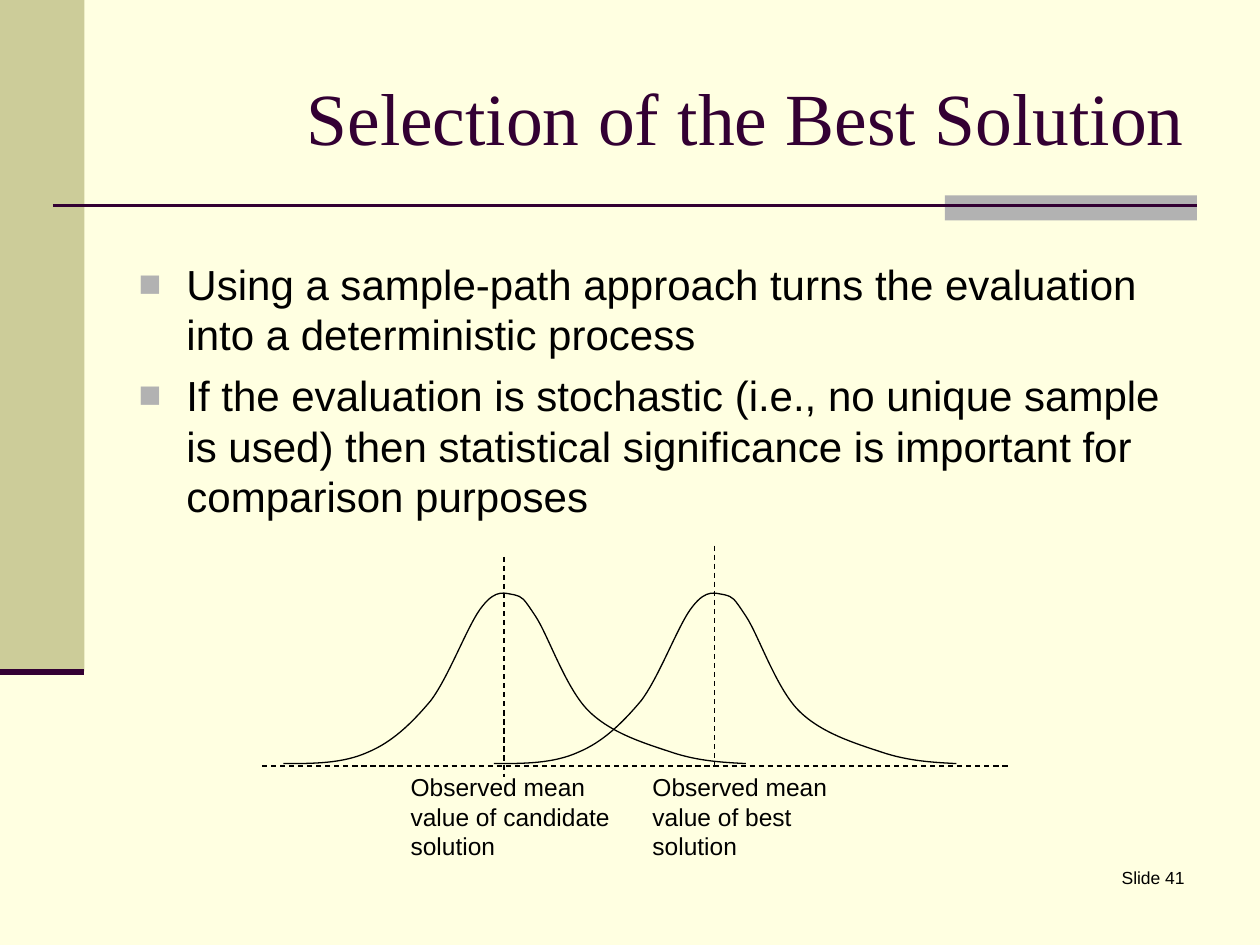
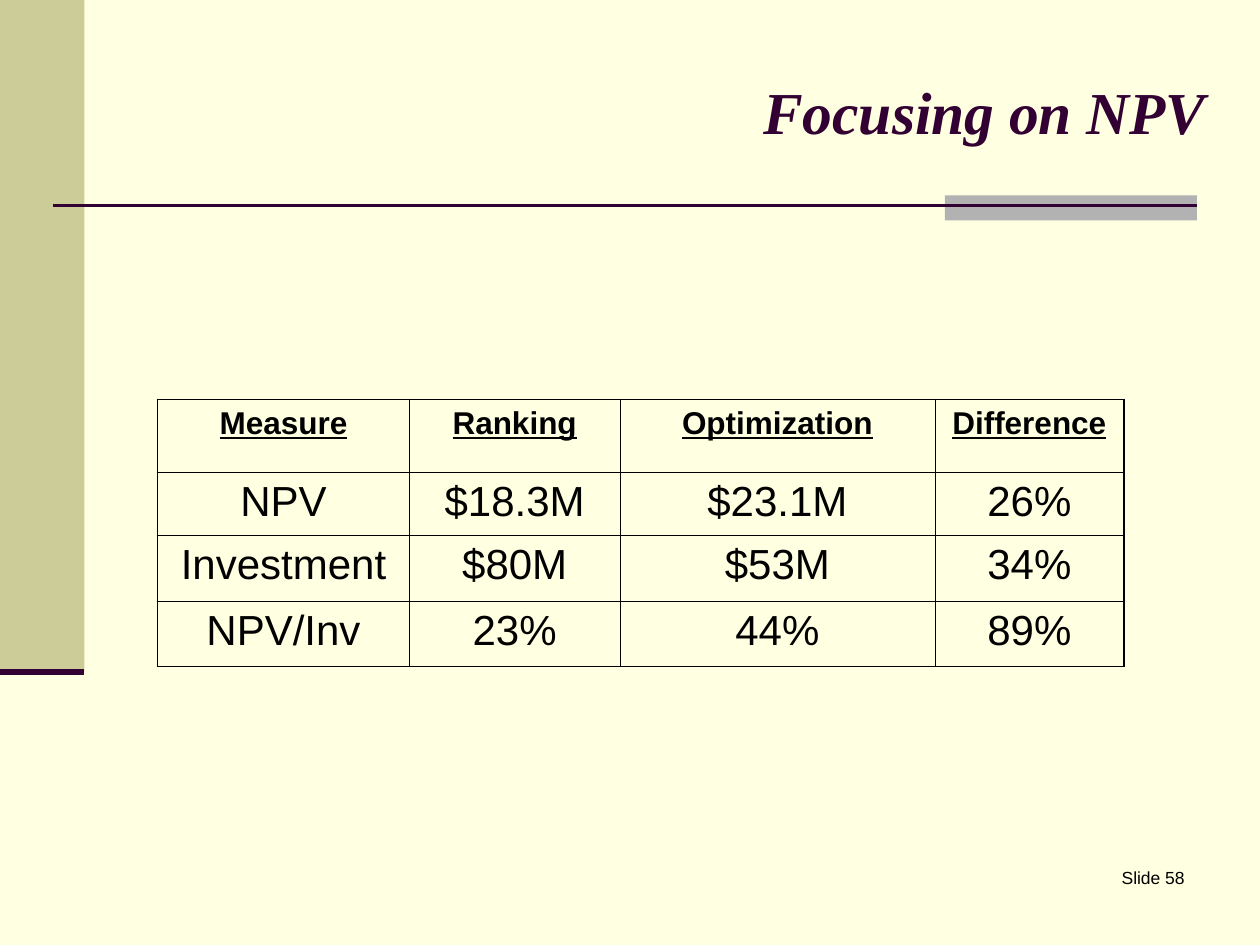
"""Build two slides on comparing solutions: overlapping distributions and an NPV table."""
import pptx
import pptx.dml.color
import pptx.enum.dml
import pptx.enum.shapes
import pptx.enum.text
import pptx.oxml.ns
import pptx.util
from lxml import etree

Inches, Pt = pptx.util.Inches, pptx.util.Pt
ALIGN = pptx.enum.text.PP_ALIGN
qn = pptx.oxml.ns.qn
COLORS = {"page": "FFFFE1", "sidebar": "CCCC99", "accent": "B2B2B2", "plum": "330033", "ink": "000000"}
RGB = {name: pptx.dml.color.RGBColor.from_string(value) for name, value in COLORS.items()}


def add_rule(slide, start, end, color, width, dash=None):
    rule = slide.shapes.add_connector(
        pptx.enum.shapes.MSO_CONNECTOR.STRAIGHT, *(Inches(v) for v in start + end))
    rule.line.color.rgb = RGB[color]
    rule.line.width = Pt(width)
    if dash:
        rule.line.dash_style = dash
    etree.SubElement(rule._element.spPr, qn("a:effectLst"))
    return rule


def style_text(paragraph, size, color="ink", face="Arial", align=ALIGN.LEFT, bold=False):
    paragraph.alignment = align
    paragraph.font.name = face
    paragraph.font.size = Pt(size)
    paragraph.font.bold = bold
    paragraph.font.color.rgb = RGB[color]


prs = pptx.Presentation()
prs.slide_width, prs.slide_height = Inches(10), Inches(7.5)
background = prs.slide_master.background.fill
background.solid()
background.fore_color.rgb = RGB["page"]

selection = prs.slides.add_slide(prs.slide_layouts[1])
npv = prs.slides.add_slide(prs.slide_layouts[5])

decorations = []
for box, color in (((0, 0, 0.67, 5.33), "sidebar"), ((7.5, 1.55, 2, 0.2), "accent")):
    band = selection.shapes.add_shape(
        pptx.enum.shapes.MSO_SHAPE.RECTANGLE, *(Inches(v) for v in box))
    band.shadow.inherit = False
    band.fill.solid()
    band.fill.fore_color.rgb = RGB[color]
    band.line.fill.background()
    decorations.append(band)
decorations.append(add_rule(selection, (0.42, 1.63), (9.5, 1.63), "plum", 1.5))
decorations.append(add_rule(selection, (0, 5.33), (0.67, 5.33), "plum", 3.5))
for decoration in decorations:
    prs.slide_master.shapes._spTree.append(decoration._element)

for slide, number, heading, title_box, title_size, emphasis in (
    (selection, 41, "Selection of the Best Solution", (2.17, 0.3, 7.33, 1.25), 42, False),
    (npv, 58, "Focusing on NPV", (1.17, 0.25, 8.5, 1.25), 34, True),
):
    footer = slide.shapes.add_textbox(Inches(7.42), Inches(6.83), Inches(2.08), Inches(0.5)).text_frame
    footer.word_wrap = True
    footer.text = f"Slide {number}"
    style_text(footer.paragraphs[0], 10, align=ALIGN.RIGHT)

    title = slide.shapes.title
    title.left, title.top, title.width, title.height = (Inches(v) for v in title_box)
    title.text_frame.text = heading
    title.text_frame.auto_size = pptx.enum.text.MSO_AUTO_SIZE.NONE
    title.text_frame.vertical_anchor = pptx.enum.text.MSO_ANCHOR.MIDDLE
    title_line = title.text_frame.paragraphs[0]
    style_text(title_line, title_size, "plum", "Times New Roman", ALIGN.RIGHT, emphasis)
    title_line.font.italic = emphasis

points = selection.placeholders[1]
points.left, points.top, points.width, points.height = (Inches(v) for v in (1, 2, 8.5, 2.27))
points.text_frame.auto_size = pptx.enum.text.MSO_AUTO_SIZE.NONE
points.text_frame.text = (
    "Using a sample-path approach turns the evaluation into a deterministic process\n"
    "If the evaluation is stochastic (i.e., no unique sample is used) then statistical "
    "significance is important for comparison purposes")
for index, point in enumerate(points.text_frame.paragraphs):
    properties = point._p.get_or_add_pPr()
    properties.set("marL", str(Inches(0.38)))
    properties.set("indent", str(-Inches(0.38)))
    bullet_color = etree.SubElement(properties, qn("a:buClr"))
    etree.SubElement(bullet_color, qn("a:srgbClr"), val=COLORS["accent"])
    etree.SubElement(properties, qn("a:buSzPct"), val="90000")
    etree.SubElement(properties, qn("a:buFont"), typeface="Arial")
    etree.SubElement(properties, qn("a:buChar"), char="■")
    point.space_before = Pt(6 if index else 0)
    style_text(point, 24)

BELL = (
    (2.25, 6.06),
    (2.49, 6.06), (2.72, 6.06), (2.92, 5.97),
    (3.11, 5.89), (3.26, 5.75), (3.42, 5.56),
    (3.57, 5.36), (3.72, 4.94), (3.83, 4.81),
    (3.94, 4.67), (4.01, 4.71), (4.08, 4.72),
    (4.15, 4.74), (4.15, 4.74), (4.25, 4.89),
    (4.35, 5.04), (4.49, 5.46), (4.67, 5.64),
    (4.85, 5.82), (5.12, 5.9), (5.33, 5.97),
    (5.54, 6.04), (5.73, 6.05), (5.92, 6.06),
)
for offset in (0, 1.67):
    outline = [(Inches(x + offset), Inches(y)) for x, y in BELL]
    builder = selection.shapes.build_freeform(*outline[0])
    builder.add_line_segments(outline[1:], close=False)
    distribution = builder.convert_to_shape()
    segments = list(distribution._element.iter(qn("a:lnTo")))
    for first in range(0, len(segments), 3):
        curve = etree.SubElement(segments[first].getparent(), qn("a:cubicBezTo"))
        for segment in segments[first:first + 3]:
            curve.append(segment[0])
            segment.getparent().remove(segment)
    distribution.shadow.inherit = False
    distribution.fill.background()
    distribution.line.color.rgb = RGB["ink"]
    distribution.line.width = Pt(0.75)

for start, end in (((4, 4.42), (4, 6.17)), ((5.67, 4.33), (5.67, 6.08)), ((2.08, 6.08), (8, 6.08))):
    add_rule(selection, start, end, "ink", 0.75, pptx.enum.dml.MSO_LINE.DASH)

for left, width, solution in ((5.08, 1.64, "best"), (3.16, 1.78, "candidate")):
    caption = selection.shapes.add_textbox(
        Inches(left), Inches(6.08), Inches(width), Inches(0.8)).text_frame
    caption.word_wrap = False
    caption.text = f"Observed mean\nvalue of {solution}\nsolution"
    for line in caption.paragraphs:
        style_text(line, 14)

MEASURES = (
    ("Measure", "Ranking", "Optimization", "Difference"),
    ("NPV", "$18.3M", "$23.1M", "26%"),
    ("Investment", "$80M", "$53M", "34%"),
    ("NPV/Inv", "23%", "44%", "89%"),
)
COLUMN_WIDTHS = (2, 1.67, 2.5, 1.5)
ROW_HEIGHTS = (0.58, 0.5, 0.52, 0.52)
comparison = npv.shapes.add_table(
    4, 4, Inches(1.25), Inches(3.17), Inches(sum(COLUMN_WIDTHS)), Inches(sum(ROW_HEIGHTS))).table
comparison.first_row = comparison.horz_banding = False
for column, width in zip(comparison.columns, COLUMN_WIDTHS):
    column.width = Inches(width)
for r, (row, height) in enumerate(zip(comparison.rows, ROW_HEIGHTS)):
    row.height = Inches(height)
    for c, cell in enumerate(row.cells):
        cell.text = MEASURES[r][c]
        header = r == 0
        entry = cell.text_frame.paragraphs[0]
        style_text(entry, 18 if header else 24, align=ALIGN.CENTER, bold=header)
        entry.font.underline = header
        borders = cell._tc.get_or_add_tcPr()
        for side, outer in (("L", c == 0), ("R", c == 3), ("T", r == 0), ("B", r == 3)):
            border = etree.SubElement(borders, qn(f"a:ln{side}"), w=str(Pt(1.08 if outer else 0.45)))
            border_fill = etree.SubElement(border, qn("a:solidFill"))
            etree.SubElement(border_fill, qn("a:srgbClr"), val=COLORS["ink"])
        cell.fill.background()

prs.save("out.pptx")
